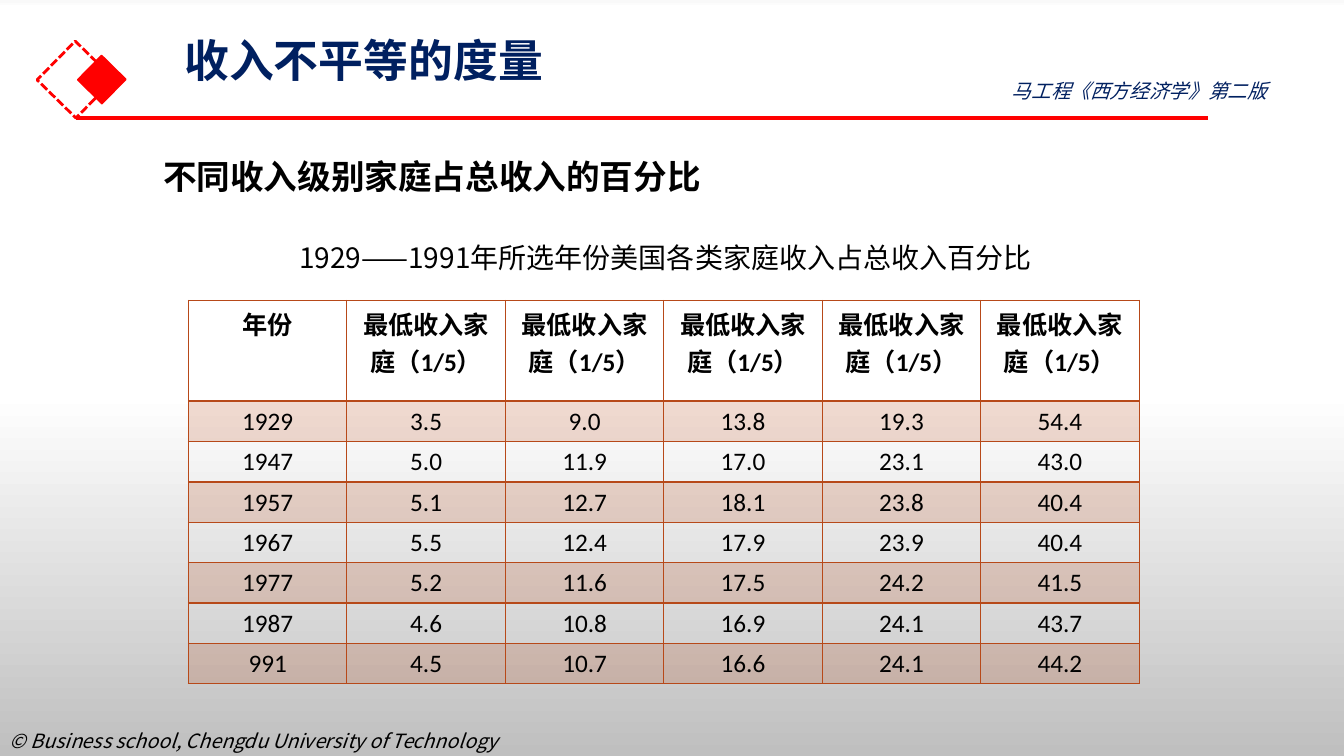
import pptx
import pptx.dml.color
import pptx.enum.dml
import pptx.enum.shapes
import pptx.enum.text
import pptx.oxml.ns
import pptx.util
from lxml import etree

Pt = pptx.util.Pt
RGBColor = pptx.dml.color.RGBColor
qn = pptx.oxml.ns.qn
Align = pptx.enum.text.PP_ALIGN

RED = RGBColor(0xFF, 0x00, 0x00)
NAVY = RGBColor(0x00, 0x20, 0x60)
BLACK = RGBColor(0x00, 0x00, 0x00)
RUST = RGBColor(0xB7, 0x49, 0x19)
NEAR_WHITE = RGBColor(0xF9, 0xF9, 0xF9)
WHITE = RGBColor(0xFF, 0xFF, 0xFF)
GREY = RGBColor(0xBF, 0xBF, 0xBF)

CHINESE_FONT = "Noto Sans CJK SC"
TABLE_FONT = "Calibri"

HEADER = ["年份"] + ["最低收入家庭（1/5）"] * 5
INCOME_SHARES = [
    ["1929", "3.5", "9.0", "13.8", "19.3", "54.4"],
    ["1947", "5.0", "11.9", "17.0", "23.1", "43.0"],
    ["1957", "5.1", "12.7", "18.1", "23.8", "40.4"],
    ["1967", "5.5", "12.4", "17.9", "23.9", "40.4"],
    ["1977", "5.2", "11.6", "17.5", "24.2", "41.5"],
    ["1987", "4.6", "10.8", "16.9", "24.1", "43.7"],
    ["991", "4.5", "10.7", "16.6", "24.1", "44.2"],
]


class SlideBuilder:
    def __init__(self, deck):
        self.page = deck.slides.add_slide(deck.slide_layouts[6])

    def background(self, stops):
        fill = self.page.background.fill
        fill.gradient()
        fill.gradient_angle = 270
        stop_list = self.page.background._cSld.find(".//" + qn("a:gsLst"))
        for old_stop in list(stop_list):
            stop_list.remove(old_stop)
        for percent, color in stops:
            stop = etree.SubElement(stop_list, qn("a:gs"), pos=str(percent * 1000))
            etree.SubElement(stop, qn("a:srgbClr"), val=str(color))

    def span(self, para, text, size, color=BLACK, font=CHINESE_FONT,
             bold=False, italic=False):
        span = para.add_run()
        span.text = text
        span.font.size = Pt(size)
        span.font.bold = bold
        span.font.italic = italic
        span.font.color.rgb = color
        span.font.name = font
        etree.SubElement(span.font._element, qn("a:ea"), typeface=CHINESE_FONT)

    def text(self, left, top, width, height, text, size, spacing=None,
             inset_top=3.6, **style):
        box = self.page.shapes.add_textbox(Pt(left), Pt(top), Pt(width), Pt(height))
        box.text_frame.word_wrap = True
        box.text_frame.margin_top = Pt(inset_top)
        para = box.text_frame.paragraphs[0]
        if spacing:
            para.line_spacing = spacing
        self.span(para, text, size, **style)

    def tilted_square(self, left, top, side, line_width, fill=None, dash=None):
        square = self.page.shapes.add_shape(
            pptx.enum.shapes.MSO_SHAPE.RECTANGLE, Pt(left), Pt(top), Pt(side), Pt(side))
        square.rotation = 314.5
        square.shadow.inherit = False
        if fill is None:
            square.fill.background()
        else:
            square.fill.solid()
            square.fill.fore_color.rgb = fill
        square.line.color.rgb = RED
        square.line.width = Pt(line_width)
        if dash:
            square.line.dash_style = dash

    def rule(self, left, right, height, width):
        rule = self.page.shapes.add_connector(
            pptx.enum.shapes.MSO_CONNECTOR.STRAIGHT,
            Pt(left), Pt(height), Pt(right), Pt(height))
        rule.line.color.rgb = RED
        rule.line.width = Pt(width)
        etree.SubElement(rule._element.spPr, qn("a:effectLst"))

    def borders(self, cell, widths):
        properties = cell._tc.get_or_add_tcPr()
        for index, (side, width) in enumerate(widths.items()):
            border = etree.Element(qn("a:ln" + side), w=str(Pt(width)))
            fill = etree.SubElement(border, qn("a:solidFill"))
            etree.SubElement(fill, qn("a:srgbClr"), val=str(RUST))
            properties.insert(index, border)

    def cell(self, cell, text, is_header, is_shaded, top_border):
        if is_shaded:
            cell.fill.solid()
            cell.fill.fore_color.rgb = RUST
            color = cell._tc.tcPr.find(".//" + qn("a:srgbClr"))
            etree.SubElement(color, qn("a:alpha"), val="20000")
        else:
            cell.fill.background()
        self.borders(cell, {"L": 1, "R": 1, "T": top_border, "B": 2 if is_header else 1})
        para = cell.text_frame.paragraphs[0]
        para.alignment = Align.CENTER
        self.span(para, text, 18, font=TABLE_FONT, bold=is_header)

    def table(self, left, top, width, header_height, row_height, rows):
        columns = len(rows[0])
        height = header_height + row_height * (len(rows) - 1)
        table = self.page.shapes.add_table(
            len(rows), columns, Pt(left), Pt(top), Pt(width), Pt(height)).table
        table.first_row = False
        table.horz_banding = False
        for column in table.columns:
            column.width = Pt(width / columns)
        for row_index, values in enumerate(rows):
            table.rows[row_index].height = Pt(row_height if row_index else header_height)
            for column_index, value in enumerate(values):
                self.cell(table.cell(row_index, column_index), value,
                          is_header=row_index == 0,
                          is_shaded=row_index % 2 == 1,
                          top_border=2 if row_index == 1 else 1)


def main():
    deck = pptx.Presentation()
    deck.slide_width = Pt(960)
    deck.slide_height = Pt(540)

    slide = SlideBuilder(deck)
    slide.background([(0, NEAR_WHITE), (1, WHITE), (52, WHITE), (100, GREY)])
    slide.text(0, 517, 480, 27.5, "© Business school, Chengdu University of Technology",
               14, italic=True)
    slide.tilted_square(34.6, 37.4, 38.9, 2,
                        dash=pptx.enum.dml.MSO_LINE.SQUARE_DOT)
    slide.tilted_square(60.5, 44.6, 24.5, 1, fill=RED)
    slide.rule(54, 862.6, 84.3, 2.25)
    slide.text(124.6, 28, 828, 68.4, "收入不平等的度量", 32, spacing=0.9,
               inset_top=0, color=NAVY, bold=True)
    slide.text(715.7, 52.6, 233.3, 24.5, "马工程《西方经济学》第二版", 14,
               color=NAVY, italic=True)
    slide.text(109.4, 108, 424, 36, "不同收入级别家庭占总收入的百分比", 24, bold=True)
    slide.table(134.6, 214.6, 679.2, 72, 28.8, [HEADER] + INCOME_SHARES)
    slide.text(206.6, 168.5, 561.6, 31.7,
               "1929——1991年所选年份美国各类家庭收入占总收入百分比", 20)

    deck.save("out.pptx")


if __name__ == "__main__":
    main()
